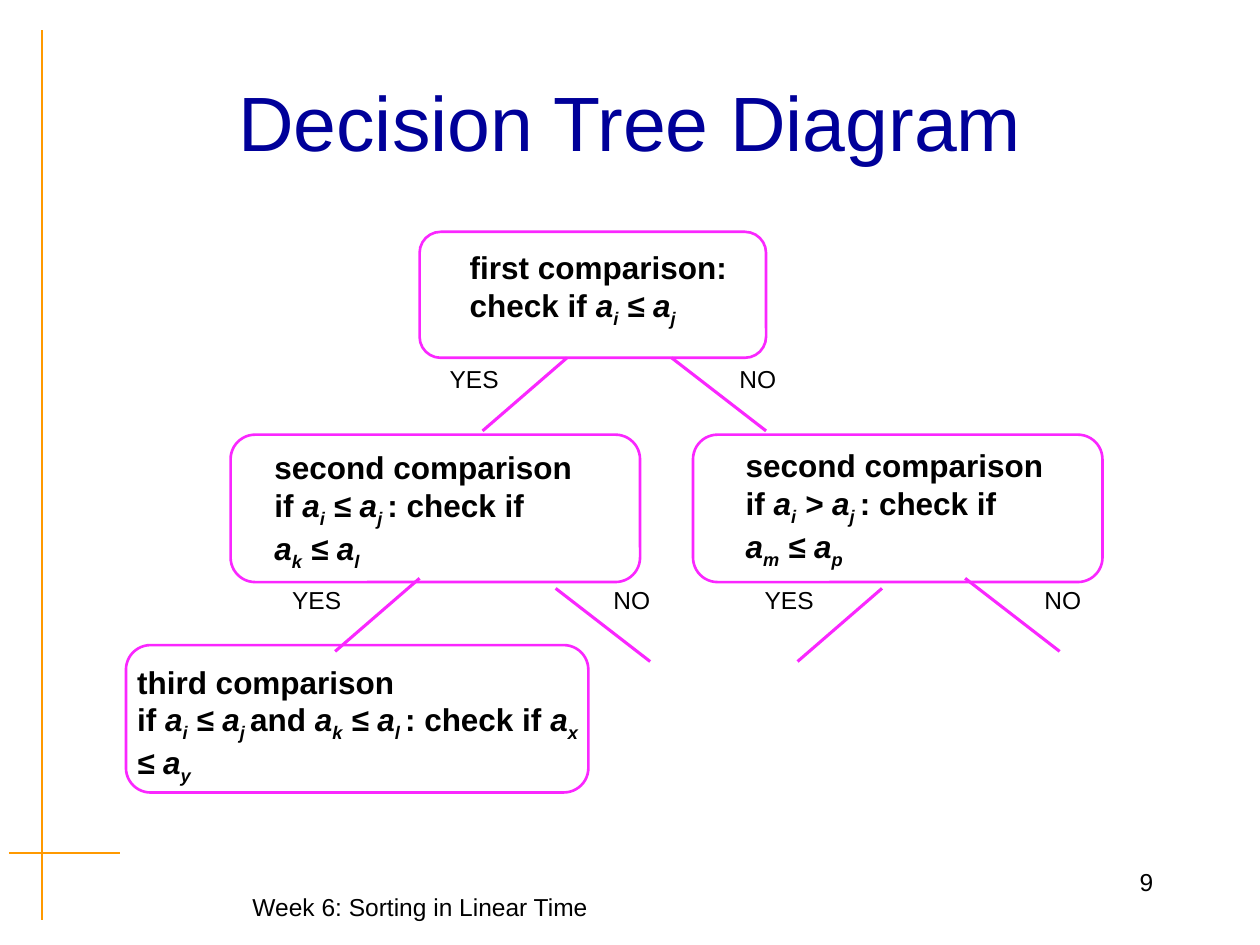
from dataclasses import dataclass

from lxml import etree
from pptx import Presentation
from pptx.dml.color import RGBColor
from pptx.enum.shapes import MSO_CONNECTOR, MSO_SHAPE
from pptx.enum.text import MSO_ANCHOR, PP_ALIGN
from pptx.oxml.ns import qn
from pptx.util import Inches, Pt

PINK, ORANGE, NAVY, BLACK = "FA27FF", "FF9900", "000099", "000000"
BRANCH_DROP = 0.58


@dataclass
class Node:
    box: tuple[float, float, float, float]
    text_at: tuple[float, float, float, float]
    lines: list[str]
    wrap: bool = False


@dataclass
class Branch:
    label: str
    x: float
    y: float
    label_x: float
    label_y: float


# Braces enclose italic formulas; an underscore starts a subscript.
NODES = [
    Node((3.33, 1.84, 2.75, 1), (3.63, 1.92, 2.24, 0.74),
         ["first comparison:", "check if {a_i ≤ a_j}"]),
    Node((1.83, 3.45, 3.25, 1.17), (2.08, 3.51, 2.56, 1.08),
         ["second comparison", "if {a_i ≤ a_j }: check if", "{a_k ≤ a_l}"]),
    Node((5.5, 3.45, 3.25, 1.17), (5.82, 3.49, 2.56, 1.08),
         ["second comparison", "if {a_i > a_j }: check if", "{a_m ≤ a_p}"]),
    Node((1, 5.12, 3.67, 1.17), (0.99, 5.21, 3.84, 1.08),
         ["third comparison",
          "if {a_i ≤ a_j }and {a_k ≤ a_l }: check if {a_x ≤ a_y}"], wrap=True),
]
BRANCHES = [
    Branch("YES", 4.5, 2.84, 3.47, 2.84),
    Branch("YES", 3.33, 4.59, 2.22, 4.59),
    Branch("YES", 7, 4.67, 5.97, 4.59),
    Branch("NO", 5.33, 2.84, 5.77, 2.84),
    Branch("NO", 4.41, 4.67, 4.77, 4.59),
    Branch("NO", 7.66, 4.59, 8.19, 4.59),
]
BRANCH_RUN = {"YES": -0.67, "NO": 0.75}
LABEL_WIDTH = {"YES": 0.59, "NO": 0.49}


def rgb(color: str) -> RGBColor:
    return RGBColor.from_string(color)


def add_run(p, text: str, color: str = BLACK, subscript: bool = False, **formats) -> None:
    r = p.add_run()
    r.text = text
    for name, value in {"name": "Arial", **formats}.items():
        setattr(r.font, name, value)
    r.font.color.rgb = rgb(color)
    if subscript:
        r._r.get_or_add_rPr().set("baseline", "-25000")


def add_formula(p, formula: str, **formats) -> None:
    """Write italic runs, lowering the letter after each underscore."""
    base, *parts = formula.split("_")
    add_run(p, base, italic=True, **formats)
    for part in parts:
        # A closing space stays in the subscript.
        cut = 1 if part.strip()[1:] else len(part)
        add_run(p, part[:cut], subscript=True, italic=True, **formats)
        if part[cut:]:
            add_run(p, part[cut:], italic=True, **formats)


def add_text(s, at: tuple, lines: list[str], size: float, bold: bool = False,
             align=PP_ALIGN.LEFT, wrap: bool = False) -> None:
    tf = s.shapes.add_textbox(*map(Inches, at)).text_frame
    tf.word_wrap = wrap
    formats = {"size": Pt(size), "bold": bold}
    for i, line in enumerate(lines):
        p = tf.add_paragraph() if i else tf.paragraphs[0]
        p.alignment = align
        for k, piece in enumerate(line.replace("}", "{").split("{")):
            if piece:
                (add_formula if k % 2 else add_run)(p, piece, **formats)


def add_line(s, ends: tuple, color: str, width: float) -> None:
    line = s.shapes.add_connector(MSO_CONNECTOR.STRAIGHT, *map(Inches, ends))
    line.line.color.rgb = rgb(color)
    line.line.width = Pt(width)
    etree.SubElement(line._element.spPr, qn("a:effectLst"))


def add_node(s, node: Node) -> None:
    add_text(s, node.text_at, node.lines, 18, bold=True, wrap=node.wrap)
    sp = s.shapes.add_shape(MSO_SHAPE.ROUNDED_RECTANGLE, *map(Inches, node.box))
    sp.adjustments[0] = 0.167
    sp.shadow.inherit = False
    sp.fill.background()
    sp.line.color.rgb = rgb(PINK)
    sp.line.width = Pt(1.5)


def add_branch(s, b: Branch) -> None:
    end_x = b.x + BRANCH_RUN[b.label]
    add_line(s, (b.x, b.y, end_x, b.y + BRANCH_DROP), PINK, 1.75)
    add_text(s, (b.label_x, b.label_y, LABEL_WIDTH[b.label], 0.34), [b.label], 14)


def add_title(s, text: str) -> None:
    title = s.shapes.title
    place = {"left": 0.75, "top": 0.37, "width": 8.5, "height": 1.17}
    for name, value in place.items():
        setattr(title, name, Inches(value))
    tf = title.text_frame
    tf.vertical_anchor = MSO_ANCHOR.MIDDLE
    p = tf.paragraphs[0]
    p.alignment = PP_ALIGN.CENTER
    add_run(p, text, color=NAVY, size=Pt(44))


def main() -> None:
    prs = Presentation()
    prs.slide_width, prs.slide_height = Inches(10), Inches(7.5)
    s = prs.slides.add_slide(prs.slide_layouts[5])
    add_line(s, (0.33, 0.24, 0.33, 7.3), ORANGE, 1.19)
    add_line(s, (0.07, 6.77, 0.95, 6.77), ORANGE, 1.19)
    add_text(s, (0.88, 7.03, 4.91, 0.34), ["Week 6: Sorting in Linear Time"], 14,
             align=PP_ALIGN.CENTER, wrap=True)
    add_title(s, "Decision Tree Diagram")
    add_text(s, (7.17, 6.83, 2.08, 0.5), ["9"], 14, align=PP_ALIGN.RIGHT, wrap=True)
    for node in NODES:
        add_node(s, node)
    for branch in BRANCHES:
        add_branch(s, branch)
    prs.save("out.pptx")


if __name__ == "__main__":
    main()
